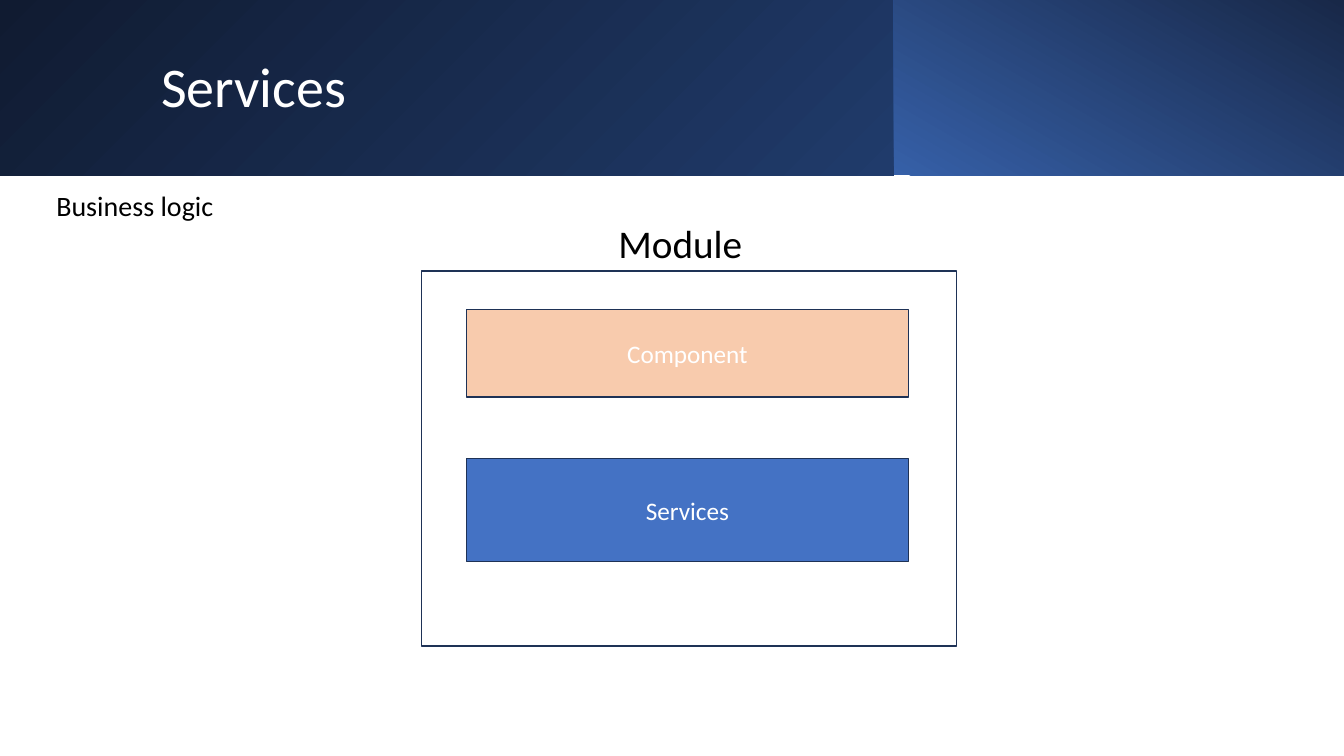
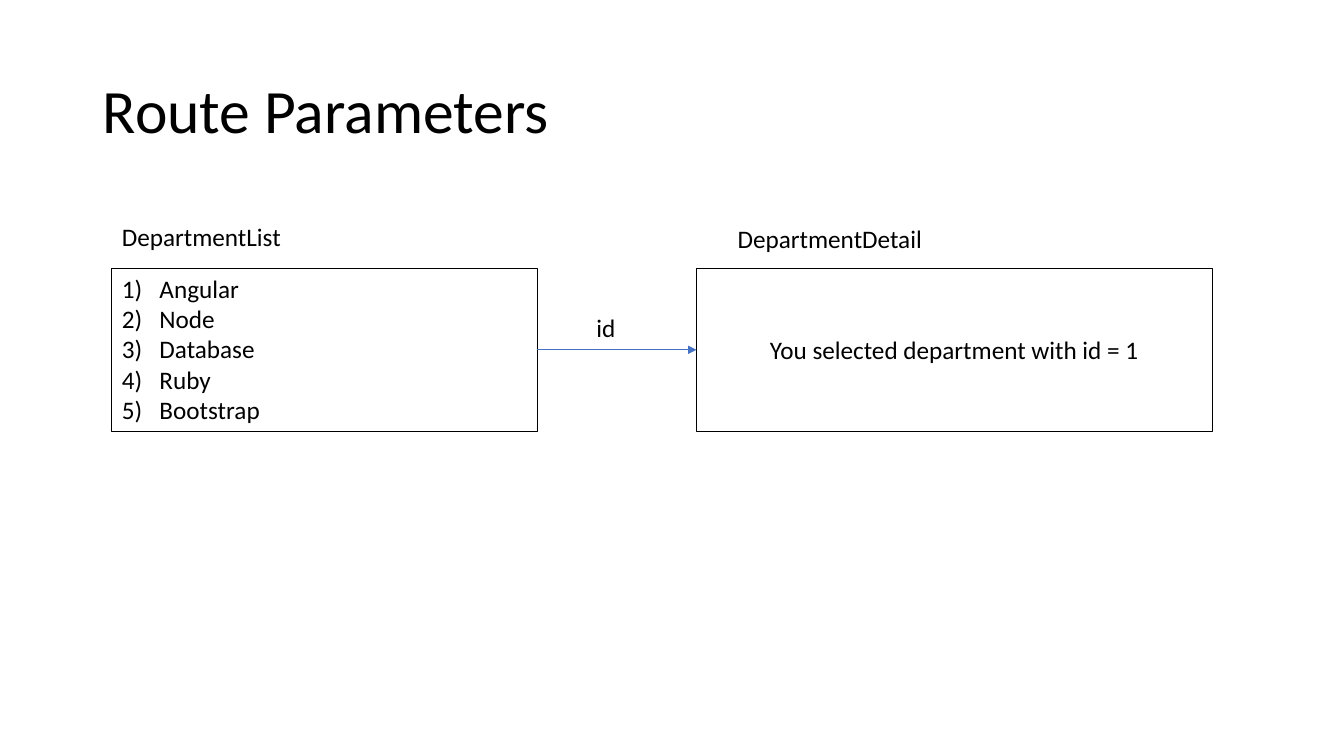
"""Build two slides: a module diagram and a route parameter diagram."""
from lxml.etree import SubElement
from pptx import Presentation
from pptx.dml.color import RGBColor
from pptx.enum.shapes import MSO_CONNECTOR, MSO_SHAPE
from pptx.enum.text import MSO_ANCHOR, PP_ALIGN
from pptx.oxml.ns import qn
from pptx.util import Cm, Pt

BLACK = "000000"
WHITE = "FFFFFF"
NAVY = "1E3256"
BLUE = "4472C4"
PEACH = "F8CBAD"
FONT = "Calibri"
color = RGBColor.from_string


def write_text(shape, text, size, text_color=BLACK, align=PP_ALIGN.LEFT, anchor=MSO_ANCHOR.TOP):
    frame = shape.text_frame
    frame.word_wrap = True
    frame.vertical_anchor = anchor
    frame.text = text
    for paragraph in frame.paragraphs:
        paragraph.alignment = align
        paragraph.font.name = FONT
        paragraph.font.size = Pt(size)
        paragraph.font.color.rgb = color(text_color)


def add_box(slide, position, fill=None, line=None, line_width=1):
    box = slide.shapes.add_shape(MSO_SHAPE.RECTANGLE, *map(Cm, position))
    box.shadow.inherit = False
    if fill:
        box.fill.solid()
        box.fill.fore_color.rgb = color(fill)
    else:
        box.fill.background()
    if line:
        box.line.color.rgb = color(line)
        box.line.width = Pt(line_width)
    else:
        box.line.fill.background()
    return box


presentation = Presentation()
presentation.slide_width = Cm(33.87)
presentation.slide_height = Cm(19.05)
title_layout = presentation.slide_layouts[5]
services_slide = presentation.slides.add_slide(title_layout)
route_slide = presentation.slides.add_slide(title_layout)

bands = [
    ((0, 0, 22.53, 4.42), 315, "101B31", "203B6B"),
    ((22.53, 0, 11.34, 4.42), 60, "3660A8", "182848"),
]
for position, angle, start_color, end_color in bands:
    band = add_box(services_slide, position)
    band.fill.gradient()
    band.fill.gradient_angle = angle
    for stop, stop_color in zip(band.fill.gradient_stops, (start_color, end_color)):
        stop.color.rgb = color(stop_color)

titles = [
    (services_slide, "Services", (3.81, 0.81, 27.48, 2.87), 40, WHITE),
    (route_slide, "Route Parameters", (2.34, 1.02, 29.21, 3.68), 44, BLACK),
]
for slide, text, position, size, title_color in titles:
    title = slide.shapes.title
    title.left, title.top, title.width, title.height = map(Cm, position)
    write_text(title, text, size, title_color, anchor=MSO_ANCHOR.MIDDLE)
    title.text_frame.paragraphs[0].line_spacing = 0.9
    slide.shapes._spTree.append(title._element)

add_box(services_slide, (10.62, 6.83, 13.49, 9.45), line=NAVY)
module_parts = [
    ("Component", 7.8, 2.21, PEACH),
    ("Services", 11.56, 2.59, BLUE),
]
for text, top, height, fill in module_parts:
    part = add_box(services_slide, (11.76, top, 11.13, height), fill, NAVY)
    write_text(part, text, 18, WHITE, PP_ALIGN.CENTER, MSO_ANCHOR.MIDDLE)

department_list = add_box(route_slide, (2.82, 6.76, 10.72, 4.11), line=BLACK, line_width=0.75)
write_text(department_list, "Angular\nNode\nDatabase\nRuby\nBootstrap", 18)
for paragraph in department_list.text_frame.paragraphs:
    properties = paragraph._p.get_or_add_pPr()
    properties.set("marL", str(Cm(0.95)))
    properties.set("indent", str(Cm(-0.95)))
    numbering = properties.makeelement(qn("a:buAutoNum"), {"type": "arabicParenR"})
    properties.insert(0, numbering)

department_detail = add_box(route_slide, (17.55, 6.76, 13, 4.11), line=BLACK, line_width=0.75)
write_text(department_detail, "You selected department with id = 1", 18,
           align=PP_ALIGN.CENTER, anchor=MSO_ANCHOR.MIDDLE)

arrow = route_slide.shapes.add_connector(MSO_CONNECTOR.STRAIGHT, 0, 0, 0, 0)
arrow.begin_connect(department_list, 3)
arrow.end_connect(department_detail, 1)
arrow.line.color.rgb = color(BLUE)
arrow.line.width = Pt(0.5)
SubElement(arrow.line._get_or_add_ln(), qn("a:tailEnd"), type="triangle")
SubElement(arrow._element.spPr, qn("a:effectLst"))

labels = [
    (services_slide, "Module", (14.91, 5.41, 4.47, 1.45), 28, PP_ALIGN.CENTER),
    (services_slide, "Business logic", (1.17, 4.62, 6.91, 1.12), 20, PP_ALIGN.LEFT),
    (route_slide, "DepartmentList", (2.82, 5.46, 5.77, 1.02), 18, PP_ALIGN.LEFT),
    (route_slide, "DepartmentDetail", (18.34, 5.51, 5.77, 1.02), 18, PP_ALIGN.LEFT),
    (route_slide, "id", (14.78, 7.75, 1.37, 1.02), 18, PP_ALIGN.LEFT),
]
for slide, text, position, size, align in labels:
    label = slide.shapes.add_textbox(*map(Cm, position))
    write_text(label, text, size, align=align)

presentation.save("out.pptx")
